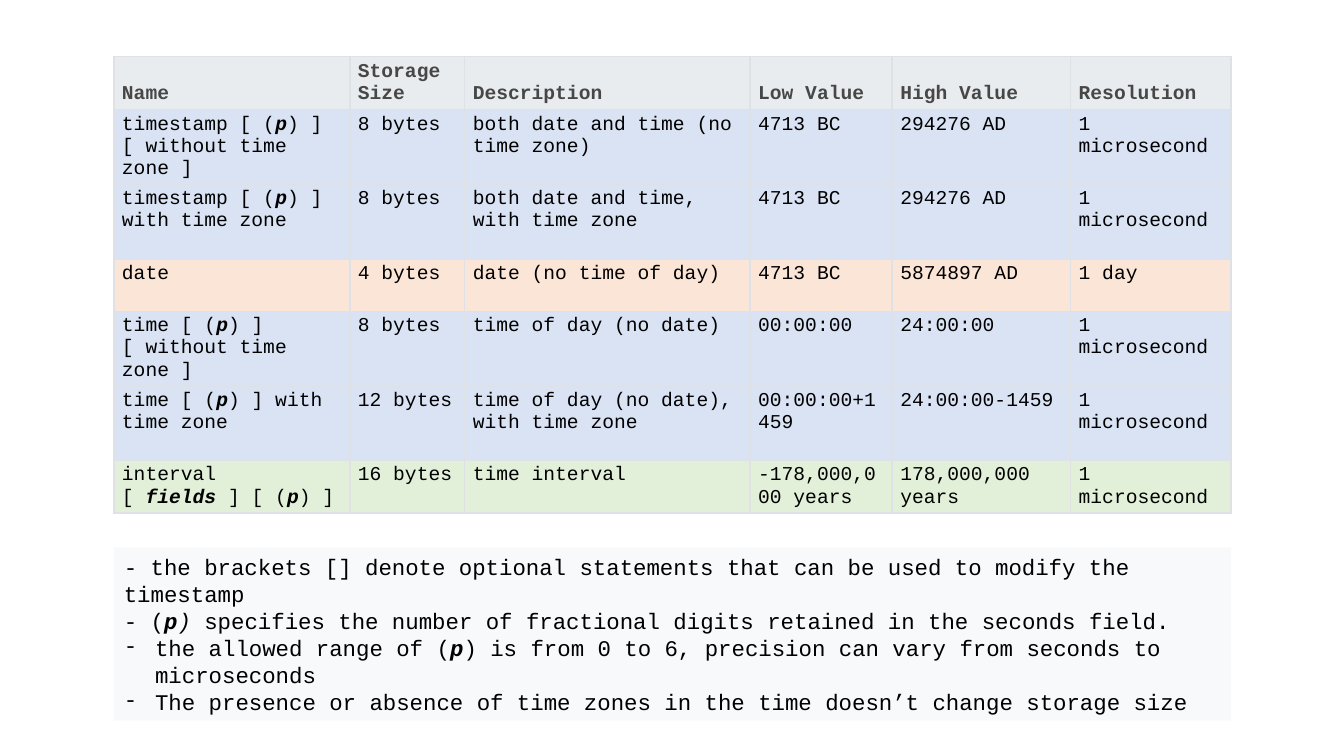
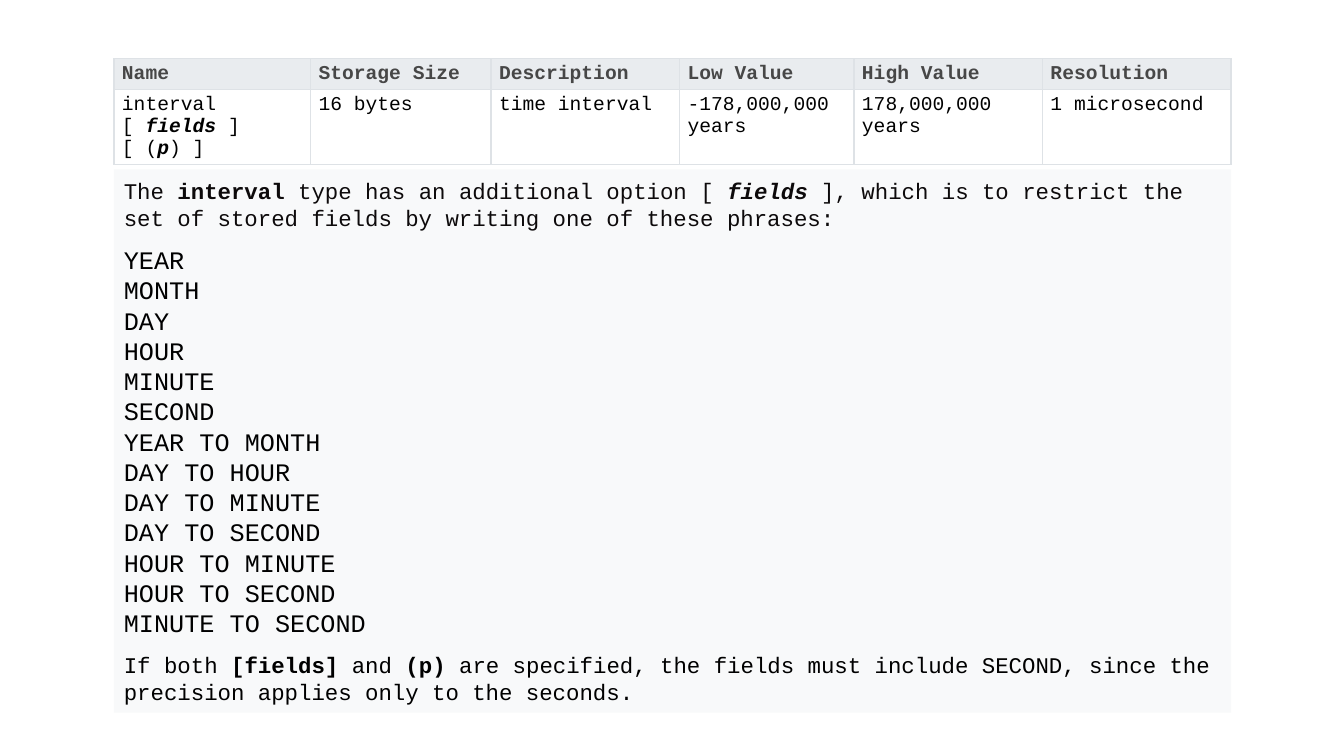
from lxml.etree import SubElement
from pptx import Presentation
from pptx.dml.color import RGBColor
from pptx.enum.shapes import MSO_SHAPE
from pptx.enum.text import MSO_ANCHOR, PP_ALIGN
from pptx.oxml.ns import qn
from pptx.util import Inches, Pt

FONT = "Courier New"
BLACK = RGBColor(0x00, 0x00, 0x00)
INK = RGBColor(0x0D, 0x0A, 0x0B)
HEADER_TEXT = RGBColor(0x47, 0x47, 0x47)
HEADER_FILL = RGBColor(0xE9, 0xEC, 0xEF)
BORDER = RGBColor(0xDE, 0xE2, 0xE6)
PANEL = RGBColor(0xF8, 0xF9, 0xFA)
WHITE = RGBColor(0xFF, 0xFF, 0xFF)
BLUE = RGBColor(0xDA, 0xE3, 0xF3)
ORANGE = RGBColor(0xFB, 0xE5, 0xD6)
GREEN = RGBColor(0xE2, 0xF0, 0xD9)

LEFT, WIDTH = 1.13, 11.08
BORDER_WIDTHS = {"lnL": 1.2, "lnR": 1.2, "lnT": 0.6, "lnB": 0.6}

# In all wording, * switches bold on and off and ~ switches italic.
HEADINGS = ("Name", "Storage Size", "Description", "Low Value", "High Value", "Resolution")
INTERVAL = ("interval [\u00a0*~fields~*\u00a0] [ (*~p~*) ]", "16 bytes", "time interval",
            "-178,000,000 years", "178,000,000 years", "1 microsecond")

# Each row: fill, height, cells
ALL_TYPES = [
    (BLUE, 0.74, ("timestamp [ (*~p~*) ] [ without time zone ]", "8 bytes",
                  "both date and time (no time zone)", "4713 BC", "294276 AD",
                  "1 microsecond")),
    (BLUE, 0.74, ("timestamp [ (*~p~*) ] with time zone", "8 bytes",
                  "both date and time, with time zone", "4713 BC", "294276 AD",
                  "1 microsecond")),
    (ORANGE, 0.52, ("date", "4 bytes", "date (no time of day)", "4713 BC", "5874897 AD",
                    "1 day")),
    (BLUE, 0.74, ("time [ (*~p~*) ] [ without time zone ]", "8 bytes",
                  "time of day (no date)", "00:00:00", "24:00:00", "1 microsecond")),
    (BLUE, 0.74, ("time [ (*~p~*) ] with time zone", "12 bytes",
                  "time of day (no date), with time zone", "00:00:00+1459",
                  "24:00:00-1459", "1 microsecond")),
    (GREEN, 0.52, INTERVAL),
]
INTERVAL_ONLY = [(WHITE, 0.74, INTERVAL)]

# Each paragraph: wording, format
NOTES = [
    ("- the brackets [] denote optional statements that can be used to modify the timestamp", {}),
    ("- (*~p*)~ specifies the number of fractional digits retained in the seconds field.", {}),
    ("the allowed range of (*~p~*) is from 0 to 6, precision can vary from seconds to "
     "microseconds", {"bullet": "-"}),
    ("The presence or absence of time zones in the time doesn\u2019t change storage size",
     {"bullet": "-"}),
]
PHRASES = ["YEAR", "MONTH", "DAY", "HOUR", "MINUTE", "SECOND", "YEAR TO MONTH",
           "DAY TO HOUR", "DAY TO MINUTE", "DAY TO SECOND", "HOUR TO MINUTE",
           "HOUR TO SECOND", "MINUTE TO SECOND"]
GAP = 9.6
FIELDS = [
    ("The\u00a0*interval* type has an additional option [\u00a0*~fields~*\u00a0], which is to "
     "restrict the set of stored fields by writing one of these phrases:", {"color": INK}),
    *[(phrase, {"size": 18, "before": 0 if number else GAP})
      for number, phrase in enumerate(PHRASES)],
    ("If both *[fields]* and *(p)* are specified, the fields must include SECOND, since the "
     "precision applies only to the seconds.", {"before": GAP}),
]

# Each slide: table top, header height, column widths, rows, panel top, panel height, paragraphs
SLIDES = [
    (0.56, 0.53, (2.34, 1.14, 2.83, 1.41, 1.77, 1.59), ALL_TYPES, 5.43, 1.72, NOTES),
    (0.58, 0.31, (1.95, 1.79, 1.87, 1.73, 1.87, 1.87), INTERVAL_ONLY, 1.68, 5.39, FIELDS),
]


def write(paragraph, text, size=16, color=BLACK, bold=False, before=0, bullet=None):
    """Fill a paragraph with runs, switching bold at * and italic at ~."""
    paragraph.alignment = PP_ALIGN.LEFT
    paragraph.space_before = Pt(before)
    if bullet:
        properties = paragraph._p.get_or_add_pPr()
        properties.set("marL", str(Inches(0.31)))
        properties.set("indent", str(-Inches(0.31)))
        SubElement(properties, qn("a:buFont"), typeface=FONT)
        SubElement(properties, qn("a:buChar"), char=bullet)
    italic = False
    for bold_switches, part in enumerate(text.split("*")):
        for italic_switches, piece in enumerate(part.split("~")):
            if italic_switches:
                italic = not italic
            if piece:
                run = paragraph.add_run()
                run.text = piece
                font = run.font
                font.name, font.size = FONT, Pt(size)
                font.bold = bold or bold_switches % 2 == 1
                font.italic = italic
                font.color.rgb = color


def fill_cell(cell, text, fill, bottom_width, anchor=MSO_ANCHOR.TOP, **text_format):
    """Set a cell's wording, margins, borders and fill."""
    cell.margin_left = cell.margin_right = Inches(0.08)
    cell.margin_top = cell.margin_bottom = Inches(0.04)
    cell.vertical_anchor = anchor
    write(cell.text_frame.paragraphs[0], text, size=14, **text_format)
    properties = cell._tc.get_or_add_tcPr()
    for side, width in {**BORDER_WIDTHS, "lnB": bottom_width}.items():
        line = SubElement(properties, qn(f"a:{side}"), w=str(Pt(width)))
        line_fill = SubElement(line, qn("a:solidFill"))
        SubElement(line_fill, qn("a:srgbClr"), val=str(BORDER))
    cell.fill.solid()
    cell.fill.fore_color.rgb = fill


def add_type_table(slide, top, header_height, widths, rows):
    """Add a table of data types below the shared header row."""
    heights = [header_height] + [height for _, height, _ in rows]
    table = slide.shapes.add_table(len(heights), len(widths), Inches(LEFT), Inches(top),
                                   Inches(WIDTH), Inches(sum(heights))).table
    table.first_row = table.horz_banding = False
    for column, width in zip(table.columns, widths):
        column.width = Inches(width)
    for row, height in zip(table.rows, heights):
        row.height = Inches(height)
    for column, heading in enumerate(HEADINGS):
        fill_cell(table.cell(0, column), heading, HEADER_FILL, 0.6, MSO_ANCHOR.BOTTOM,
                  color=HEADER_TEXT, bold=True)
    for number, (fill, _, texts) in enumerate(rows, 1):
        bottom_width = 1.2 if number == len(rows) else 0.6
        for column, text in enumerate(texts):
            fill_cell(table.cell(number, column), text, fill, bottom_width)


def add_panel(slide, top, height, paragraphs):
    """Add the pale text panel below the table."""
    panel = slide.shapes.add_shape(MSO_SHAPE.RECTANGLE, Inches(LEFT), Inches(top),
                                   Inches(WIDTH), Inches(height))
    panel.shadow.inherit = False
    panel.fill.solid()
    panel.fill.fore_color.rgb = PANEL
    panel.line.fill.background()
    frame = panel.text_frame
    frame.word_wrap = True
    frame.vertical_anchor = MSO_ANCHOR.MIDDLE
    for number, (text, text_format) in enumerate(paragraphs):
        paragraph = frame.add_paragraph() if number else frame.paragraphs[0]
        write(paragraph, text, **text_format)


presentation = Presentation()
presentation.slide_width, presentation.slide_height = Inches(13.33), Inches(7.5)
for table_top, header, widths, rows, panel_top, panel_height, paragraphs in SLIDES:
    slide = presentation.slides.add_slide(presentation.slide_layouts[6])
    add_panel(slide, panel_top, panel_height, paragraphs)
    add_type_table(slide, table_top, header, widths, rows)
presentation.save("out.pptx")
